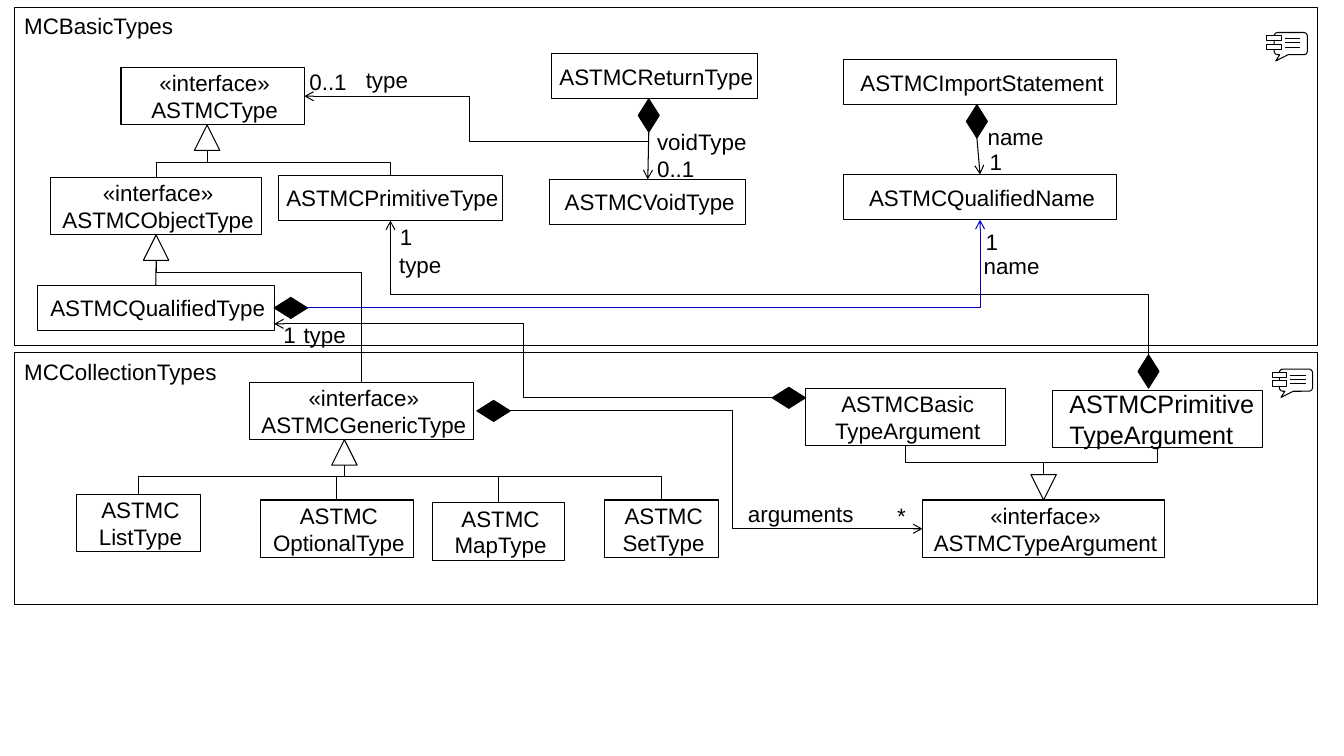
from dataclasses import dataclass

from lxml.etree import SubElement
from pptx import Presentation
from pptx.dml.color import RGBColor
from pptx.enum.shapes import MSO_CONNECTOR as Link, MSO_SHAPE as Shape
from pptx.enum.text import MSO_ANCHOR as Anchor, MSO_AUTO_SIZE as AutoSize, PP_ALIGN as Align
from pptx.oxml.ns import qn
from pptx.util import Cm, Pt


@dataclass(frozen=True)
class Theme:
    ink: RGBColor = RGBColor(0, 0, 0)
    paper: RGBColor = RGBColor(255, 255, 255)
    accent: RGBColor = RGBColor(0, 0, 200)
    font: str = "Arial"
    text: Pt = Pt(16)
    large: Pt = Pt(18)
    line: Pt = Pt(0.75)


THEME = Theme()
TOP, LEFT, BOTTOM, RIGHT = range(4)
OUTWARD = [(0, -1), (-1, 0), (0, 1), (1, 0)]


def add_box(shapes, kind, left, top, width, height, fill=THEME.paper):
    box = shapes.add_shape(kind, *(int(n) for n in (left, top, width, height)))
    box.shadow.inherit = False
    box.fill.solid()
    box.fill.fore_color.rgb = fill
    box.line.color.rgb = THEME.ink
    box.line.width = THEME.line
    return box


def write(box, lines, align=Align.LEFT, anchor=Anchor.TOP, size=THEME.text):
    frame = box.text_frame
    frame.vertical_anchor = anchor
    for index, line in enumerate(lines):
        para = frame.add_paragraph() if index else frame.paragraphs[0]
        para.text = line
        para.alignment = align
        para.font.name, para.font.size = THEME.font, size
        para.font.color.rgb = THEME.ink
    return frame


def middle(box, side, shift=0):
    """Middle of one side of a box, moved along that side by shift."""
    across, down = OUTWARD[side]
    return (box.left + box.width * (1 + across) / 2 + abs(down) * shift,
            box.top + box.height * (1 + down) / 2 + abs(across) * shift)


def attach(shapes, kind, box, side, along, wide, fill, shift=0, gap=0):
    """Put a symbol against one side of a box."""
    across, down = OUTWARD[side]
    x, y = middle(box, side, shift)
    x += across * (gap + along / 2)
    y += down * (gap + along / 2)
    width, height = (along, wide) if across else (wide, along)
    return add_box(shapes, kind, x - width / 2, y - height / 2, width, height, fill)


def add_diamond(shapes, box, side, shift=0, gap=0):
    return attach(shapes, Shape.DIAMOND, box, side, Cm(0.84), Cm(0.53),
                  THEME.ink, shift, gap)


def add_line(shapes, kind, start, end, color=THEME.ink, arrow=False):
    line = shapes.add_connector(kind, *(int(n) for n in (*start, *end)))
    line.line.color.rgb = color
    line.line.width = THEME.line
    properties = line._element.spPr
    if arrow:
        SubElement(properties.find(qn("a:ln")), qn("a:tailEnd"), type="arrow")
    SubElement(properties, qn("a:effectLst"))
    return line


def add_elbow(shapes, start, end, bend=None, upright=False, color=THEME.ink, arrow=False):
    """Line with a crossbar at the fraction bend, or with one corner if bend is None."""
    turn = 0
    if upright:
        x, y = (start[0] + end[0]) / 2, (start[1] + end[1]) / 2
        dx, dy = end[0] - start[0], end[1] - start[1]
        turn, sign = (270, -1) if dx * dy > 0 else (90, 1)
        start = (x - sign * dy / 2, y + sign * dx / 2)
        end = (x + sign * dy / 2, y - sign * dx / 2)
    line = add_line(shapes, Link.ELBOW, start, end, color, arrow)
    properties = line._element.spPr
    if turn:
        properties.find(qn("a:xfrm")).set("rot", str(turn * 60000))
    geometry = properties.find(qn("a:prstGeom"))
    if bend is None:
        geometry.set("prst", "bentConnector2")
    else:
        SubElement(geometry.find(qn("a:avLst")), qn("a:gd"), name="adj1",
                   fmla=f"val {round(bend * 100000)}")


def add_inheritance(shapes, parent, children, side=BOTTOM, shift=0):
    triangle = attach(shapes, Shape.ISOSCELES_TRIANGLE, parent, side, Cm(0.64), Cm(0.64),
                      THEME.paper, shift)
    triangle.rotation = 180 if side == TOP else 0
    start, facing = middle(triangle, side), (side + 2) % 4
    for child in children:
        end = middle(child, facing)
        if abs(end[0] - start[0]) < Cm(0.1):
            add_line(shapes, Link.STRAIGHT, start, end).end_connect(child, facing)
        else:
            bend = Cm(0.3) / abs(end[1] - start[1])
            add_elbow(shapes, start, end, bend, upright=True)


def add_composition(shapes, owner, part, shift):
    """Diamond below the owner and a straight arrow down to the part."""
    diamond = add_diamond(shapes, owner, BOTTOM, shift)
    line = add_line(shapes, Link.STRAIGHT, middle(diamond, BOTTOM), middle(part, TOP),
                    arrow=True)
    line.begin_connect(diamond, BOTTOM)
    line.end_connect(part, TOP)
    return diamond


def add_icon(shapes, left, top):
    """Speech bubble with two component tabs and three lines."""
    parts = shapes.add_group_shape().shapes
    bubble = add_box(parts, Shape.ROUNDED_RECTANGULAR_CALLOUT,
                     left + Cm(0.18), top, Cm(0.84), Cm(0.56))
    bubble.adjustments[0], bubble.adjustments[1] = -0.45, 0.78
    for drop in (0.08, 0.3):
        add_box(parts, Shape.RECTANGLE, left, top + Cm(drop), Cm(0.36), Cm(0.13))
    for row in range(3):
        y = top + Cm(0.15 + 0.11 * row)
        add_line(parts, Link.STRAIGHT, (left + Cm(0.46), y), (left + Cm(0.84), y))


def add_package(shapes, title, area, icon, classes):
    """Titled frame with its icon; returns the class boxes by name."""
    left, top, _, _ = area
    write(add_box(shapes, Shape.RECTANGLE, *area), [title])
    add_icon(shapes, left + Cm(icon[0]), top + Cm(icon[1]))
    boxes = {}
    for text, x, y, width in classes:
        lines = text.split("\n")
        box = add_box(shapes, Shape.RECTANGLE, left + Cm(x), top + Cm(y), Cm(width),
                      Cm(1.45 if len(lines) == 2 else 1.14))
        large = lines[0] == "ASTMCPrimitive"
        frame = write(box, lines, Align.LEFT if large else Align.CENTER, Anchor.MIDDLE,
                      THEME.large if large else THEME.text)
        frame.margin_left, frame.margin_right = (Cm(0.43), 0) if large else (Cm(0.1), 0)
        frame.margin_top = frame.margin_bottom = 0
        boxes["".join(lines).removeprefix("«interface»").removeprefix("ASTMC")] = box
    return boxes


def add_labels(shapes, area, labels):
    widths = {"0..1": 1.47, "1": 0.84, "*": 0.74, "type": 1.6, "name": 1.93,
              "voidType": 2.79, "arguments": 3.2}
    for text, x, y in labels:
        label = shapes.add_textbox(area[0] + Cm(x), area[1] + Cm(y), Cm(widths[text]), Cm(0.94))
        frame = write(label, [text])
        frame.word_wrap = False
        frame.auto_size = AutoSize.SHAPE_TO_FIT_TEXT


def basic_types(shapes, area):
    boxes = add_package(shapes, "MCBasicTypes", area, (31.57, 0.64), [
        ("«interface»\nASTMCType", 2.69, 1.52, 4.62),
        ("«interface»\nASTMCObjectType", 0.91, 4.29, 5.33),
        ("ASTMCPrimitiveType", 6.65, 4.24, 5.66),
        ("ASTMCQualifiedType", 0.58, 7.01, 5.97),
        ("ASTMCReturnType", 13.54, 1.17, 5.18),
        ("ASTMCVoidType", 13.49, 4.34, 4.95),
        ("ASTMCImportStatement", 20.9, 1.32, 6.88),
        ("ASTMCQualifiedName", 20.9, 4.22, 6.88)])
    add_inheritance(shapes, boxes["Type"], [boxes["ObjectType"], boxes["PrimitiveType"]],
                    shift=Cm(-0.14))
    returned = add_composition(shapes, boxes["ReturnType"], boxes["VoidType"], Cm(-0.14))
    add_composition(shapes, boxes["ImportStatement"], boxes["QualifiedName"], Cm(-0.08))
    x, y = middle(returned, BOTTOM)
    add_elbow(shapes, (x, y + Cm(0.23)), middle(boxes["Type"], RIGHT), 0.52, arrow=True)
    qualified = add_diamond(shapes, boxes["QualifiedType"], RIGHT)
    add_elbow(shapes, middle(qualified, RIGHT), middle(boxes["QualifiedName"], BOTTOM),
              color=THEME.accent, arrow=True)
    add_labels(shapes, area, [
        ("0..1", 7.19, 1.4), ("type", 8.61, 1.35), ("voidType", 15.95, 2.92),
        ("0..1", 15.95, 3.61), ("name", 24.28, 2.79), ("1", 24.33, 3.43),
        ("1", 24.23, 5.44), ("name", 24.18, 6.05), ("1", 9.47, 5.33),
        ("type", 9.45, 6.02), ("1", 6.53, 7.8), ("type", 7.04, 7.8)])
    return boxes


def collection_types(shapes, area):
    boxes = add_package(shapes, "MCCollectionTypes", area, (31.7, 0.41), [
        ("«interface»\nASTMCGenericType", 5.94, 0.74, 5.64),
        ("ASTMC\nListType", 1.57, 3.56, 3.12),
        ("ASTMC\nOptionalType", 6.2, 3.71, 3.86),
        ("ASTMC\nMapType", 10.54, 3.78, 3.33),
        ("ASTMC\nSetType", 14.88, 3.71, 2.87),
        ("ASTMCBasic\nTypeArgument", 19.94, 0.89, 5.05),
        ("ASTMCPrimitive\nTypeArgument", 26.16, 0.94, 5.31),
        ("«interface»\nASTMCTypeArgument", 22.89, 3.71, 6.1)])
    add_inheritance(shapes, boxes["GenericType"],
                    [boxes[kind + "Type"] for kind in ("List", "Optional", "Map", "Set")],
                    shift=Cm(-0.44))
    add_inheritance(shapes, boxes["TypeArgument"],
                    [boxes["BasicTypeArgument"], boxes["PrimitiveTypeArgument"]], TOP)
    generic = add_diamond(shapes, boxes["GenericType"], RIGHT, gap=Cm(0.08))
    add_elbow(shapes, middle(generic, RIGHT), middle(boxes["TypeArgument"], LEFT), 0.54,
              arrow=True)
    add_labels(shapes, area, [("arguments", 18.24, 3.58), ("*", 22, 3.63)])
    return boxes


def link_packages(shapes, basic, collection):
    add_inheritance(shapes, basic["ObjectType"],
                    [basic["QualifiedType"], collection["GenericType"]])
    argument = add_diamond(shapes, collection["BasicTypeArgument"], LEFT, Cm(-0.48))
    add_elbow(shapes, middle(argument, LEFT), middle(basic["QualifiedType"], RIGHT, Cm(0.4)),
              0.5, arrow=True)
    primitive = add_diamond(shapes, collection["PrimitiveTypeArgument"], TOP, Cm(-0.23), Cm(0.05))
    add_elbow(shapes, middle(primitive, TOP), middle(basic["PrimitiveType"], BOTTOM),
              0.45, upright=True, arrow=True)


def main():
    deck = Presentation()
    deck.slide_width, deck.slide_height = Cm(33.87), Cm(19.05)
    shapes = deck.slides.add_slide(deck.slide_layouts[6]).shapes
    basic = basic_types(shapes, (Cm(0.36), Cm(0.18), Cm(32.84), Cm(8.53)))
    collection = collection_types(shapes, (Cm(0.36), Cm(8.89), Cm(32.84), Cm(6.35)))
    link_packages(shapes, basic, collection)
    deck.save("out.pptx")


if __name__ == "__main__":
    main()
